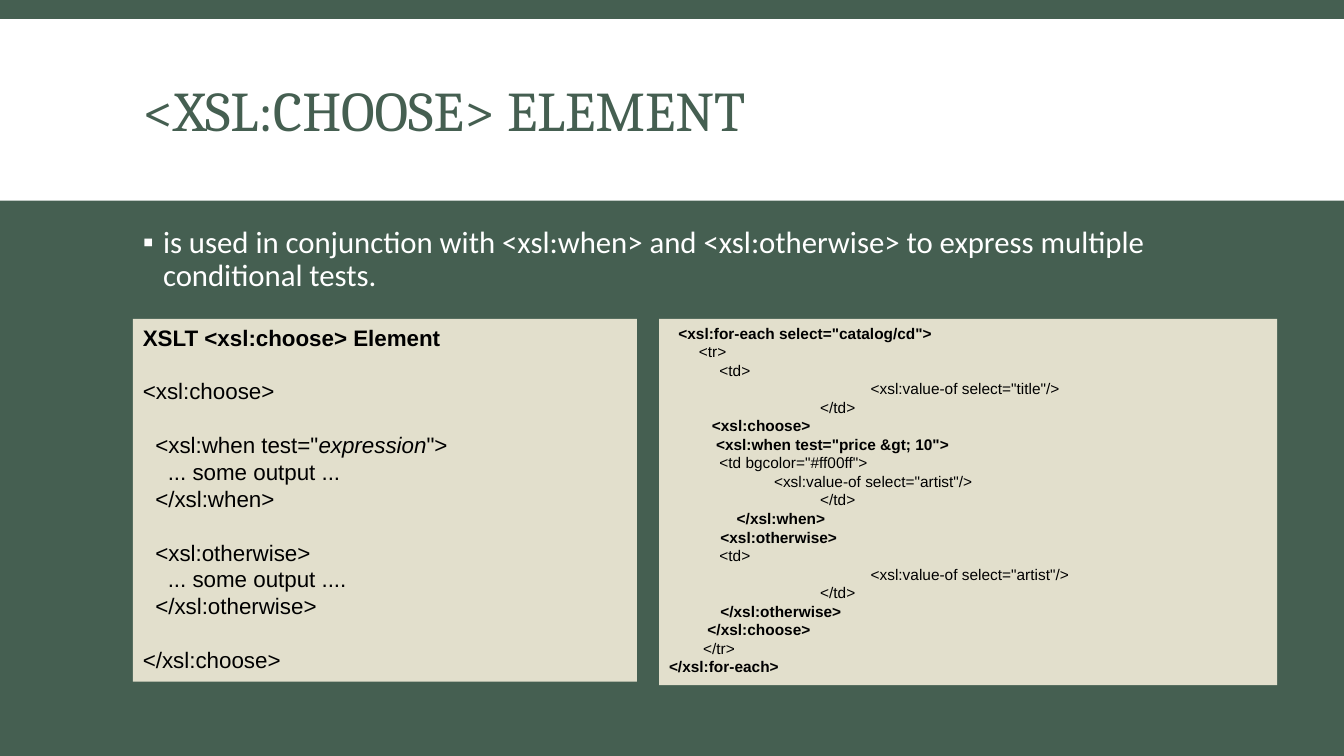
from dataclasses import dataclass

from lxml.etree import SubElement
from pptx import Presentation
from pptx.dml.color import RGBColor
from pptx.enum.shapes import MSO_SHAPE
from pptx.enum.text import MSO_ANCHOR, PP_ALIGN
from pptx.oxml.ns import qn
from pptx.util import Pt

GREEN, WHITE, SAND, BLACK = "455F51", "FFFFFF", "E2DFCC", "000000"
STEP = 36  # one tab of the sample code


@dataclass
class Line:
    text: str  # parts between asterisks are italic
    indent: float = 0
    bold: bool = False
    gap: bool = False  # one line of space above


@dataclass
class Panel:
    left: float
    width: float
    height: float
    size: float
    pitch: float
    lines: list[Line]


SYNTAX = [
    Line("XSLT <xsl:choose> Element", bold=True),
    Line("<xsl:choose>", gap=True),
    Line('<xsl:when test="*expression*">', 8.9, gap=True),
    Line("... some output ...", 17.8),
    Line("</xsl:when>", 8.9),
    Line("<xsl:otherwise>", 8.9, gap=True),
    Line("... some output ....", 17.8),
    Line("</xsl:otherwise>", 8.9),
    Line("</xsl:choose>", gap=True),
]
SAMPLE = [
    Line('<xsl:for-each select="catalog/cd">', 6.7, True),
    Line("<tr>", 21.4),
    Line("<td>", STEP),
    Line('<xsl:value-of select="title"/>', 4 * STEP),
    Line("</td>", 3 * STEP),
    Line("<xsl:choose>", 30.6, True),
    Line('<xsl:when test="price &gt; 10">', 33.6, True),
    Line('<td bgcolor="#ff00ff">', STEP),
    Line('<xsl:value-of select="artist"/>', 75),
    Line("</td>", 3 * STEP),
    Line("</xsl:when>", 48.4, True),
    Line("<xsl:otherwise>", 36.7, True),
    Line("<td>", STEP),
    Line('<xsl:value-of select="artist"/>', 4 * STEP),
    Line("</td>", 3 * STEP),
    Line("</xsl:otherwise>", 36.7, True),
    Line("</xsl:choose>", 27.5, True),
    Line("</tr>", 24.4),
    Line("</xsl:for-each>", 0, True),
]
PANELS = [
    Panel(95, 360, 259.2, 16, 19.2, SYNTAX),
    Panel(470.8, 441.4, 261.7, 11, 13.25, SAMPLE),
]


def shade(form, tint: str) -> None:
    """Give a fill or a font a solid colour."""
    if hasattr(form, "solid"):
        form.solid()
        form.fore_color.rgb = RGBColor.from_string(tint)
    else:
        form.color.rgb = RGBColor.from_string(tint)


def style(item, **look) -> None:
    for name, value in look.items():
        setattr(item, name, value)


def block(slide, left: float, top: float, width: float, height: float, tint: str):
    """Add a plain rectangle and return it."""
    shape = slide.shapes.add_shape(
        MSO_SHAPE.RECTANGLE, Pt(left), Pt(top), Pt(width), Pt(height))
    shape.shadow.inherit = False
    shape.line.fill.background()
    shade(shape.fill, tint)
    return shape


def label(slide, top: float, height: float, text: str, tint: str,
          anchor: MSO_ANCHOR, spacing: float, **look):
    """Add a one-paragraph text box and return the paragraph."""
    frame = slide.shapes.add_textbox(
        Pt(95), Pt(top), Pt(770.4), Pt(height)).text_frame
    style(frame, word_wrap=True, vertical_anchor=anchor)
    para = frame.paragraphs[0]
    para.line_spacing = spacing
    run = para.add_run()
    run.text = text
    style(run.font, **look)
    shade(run.font, tint)
    return para


def bullet(para, sign: str, indent: float) -> None:
    props = para._p.get_or_add_pPr()
    props.set("marL", str(Pt(indent)))
    props.set("indent", str(-Pt(indent)))
    tint = SubElement(props, qn("a:buClr"))
    SubElement(tint, qn("a:srgbClr")).set("val", WHITE)
    SubElement(props, qn("a:buFont")).set("typeface", "Arial")
    SubElement(props, qn("a:buChar")).set("char", sign)


def draw(slide, panel: Panel) -> None:
    shape = block(slide, panel.left, 227.7, panel.width, panel.height, SAND)
    frame = shape.text_frame
    style(frame, word_wrap=True, vertical_anchor=MSO_ANCHOR.TOP)
    for index, line in enumerate(panel.lines):
        para = frame.add_paragraph() if index else frame.paragraphs[0]
        style(para, alignment=PP_ALIGN.LEFT, line_spacing=Pt(panel.pitch))
        if line.gap:
            para.space_before = Pt(panel.pitch)
        para._p.get_or_add_pPr().set("marL", str(Pt(line.indent)))
        for part, text in enumerate(line.text.split("*")):
            run = para.add_run()
            run.text = text
            style(run.font, name="Arial", size=Pt(panel.size),
                  bold=line.bold, italic=part % 2 == 1)
            shade(run.font, BLACK)


def main() -> None:
    deck = Presentation()
    style(deck, slide_width=Pt(960), slide_height=Pt(540))
    slide = deck.slides.add_slide(deck.slide_layouts[6])
    shade(slide.background.fill, GREEN)
    block(slide, 0, 13.7, 960, 129.6, WHITE)
    label(slide, 22.3, 118.8, "<XSL:CHOOSE> ELEMENT", GREEN,
          MSO_ANCHOR.MIDDLE, 0.85, name="Cambria", size=Pt(40))
    point = label(
        slide, 158.4, 331.2,
        "is used in conjunction with <xsl:when> and <xsl:otherwise> "
        "to express multiple conditional tests.",
        WHITE, MSO_ANCHOR.TOP, 0.9, name="Calibri", size=Pt(22))
    bullet(point, "▪", 14.4)
    for panel in PANELS:
        draw(slide, panel)
    deck.save("out.pptx")


if __name__ == "__main__":
    main()
